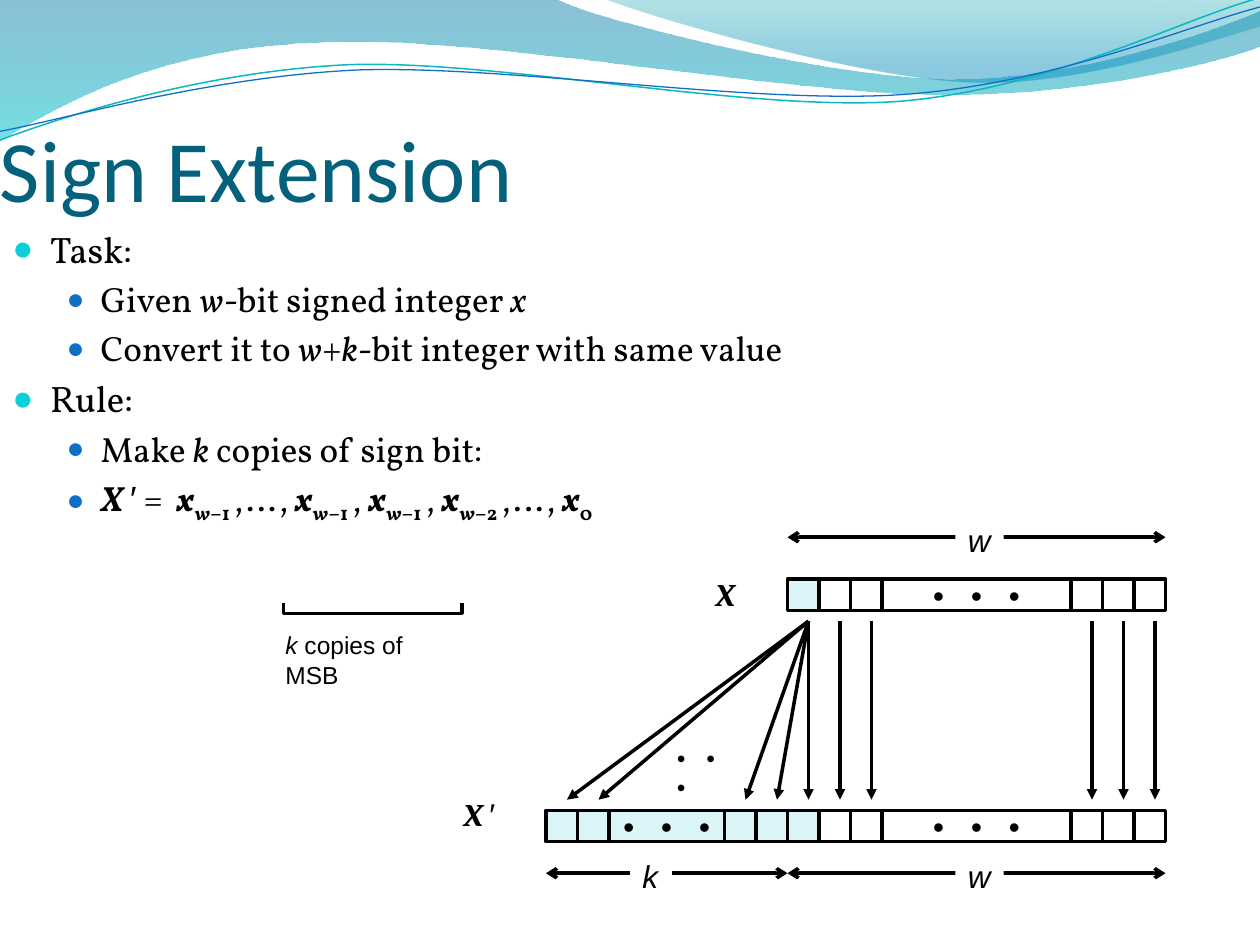
from lxml import etree
from pptx import Presentation
from pptx.dml.color import RGBColor
from pptx.enum.shapes import MSO_CONNECTOR, MSO_SHAPE
from pptx.enum.text import MSO_ANCHOR, MSO_AUTO_SIZE, PP_ALIGN
from pptx.oxml.ns import qn
from pptx.util import Pt

STRAIGHT, RECT = MSO_CONNECTOR.STRAIGHT, MSO_SHAPE.RECTANGLE
MIDDLE, BOTTOM, CENTER = MSO_ANCHOR.MIDDLE, MSO_ANCHOR.BOTTOM, PP_ALIGN.CENTER
GROW = MSO_AUTO_SIZE.SHAPE_TO_FIT_TEXT

BLACK = RGBColor(0x00, 0x00, 0x00)
WHITE = RGBColor(0xFF, 0xFF, 0xFF)
SIGN = RGBColor(0xDB, 0xF5, 0xF9)
TITLE = RGBColor(0x04, 0x61, 0x7B)
CYAN = RGBColor(0x0B, 0xD0, 0xD9)
BLUE = RGBColor(0x0F, 0x6F, 0xC6)
TEAL = RGBColor(0x0A, 0xB8, 0xBF)
WAVE_BLUE = RGBColor(0x00, 0x74, 0xA1)
WAVE_TEAL = RGBColor(0x00, 0xC6, 0xCF)
CREST_TEAL = RGBColor(0x00, 0xA1, 0xA9)
CREST_BLUE = RGBColor(0x00, 0x8B, 0xBF)

# Outlines in points: a pair is a straight step, a six-tuple is a Bézier curve.
WAVE = [(0, 0), (317, -1), (343, 12, 478, 45, 546, 45), (614, 45, 690, 19, 720, 6),
        (721, 26), (708, 32, 626, 55, 537, 54), (448, 54, 275, 20, 185, 24),
        (93, 26, 33, 60, -1, 81)]
CREST = [(345, -1), (366, 8, 491, 45, 554, 47), (616, 50, 692, 23, 720, 15), (720, 0)]
TEAL_CURVE = [(0, 80), (35, 67, 114, 41, 199, 37), (284, 34, 427, 64, 513, 58),
              (600, 51, 675, 11, 719, -1)]
BLUE_CURVE = [(0, 75), (34, 69, 118, 44, 204, 40), (290, 37, 430, 60, 516, 54),
              (602, 48, 678, 15, 720, 4)]
BRACKET = [(162, 344.5), (162, 350.5), (264, 350.5), (264, 344.5)]

CELL = 18
X_TOP, XP_TOP = 331, 463
EXT_LEFT, WORD_LEFT, WORD_RIGHT = 312, 450, 666
ELLIPSIS = "• • •"

STYLES = {
    "": {},
    "i": {"italic": True},
    "bi": {"bold": True, "italic": True},
    "prime": {"name": "Arial"},
    "sub": {"bold": True},
    "subi": {"bold": True, "italic": True},
}
X_W1 = [("x", "bi"), ("w", "subi"), ("–1 ", "sub")]
X_W2 = [("x", "bi"), ("w", "subi"), ("–2 ", "sub")]
OUTLINE = [
    (0, [("Task:", "")]),
    (1, [("Given ", ""), ("w", "i"), ("-bit signed integer ", ""), ("x", "i")]),
    (1, [("Convert it to ", ""), ("w", "i"), ("+", ""), ("k", "i"),
         ("-bit integer with same value", "")]),
    (0, [("Rule:", "")]),
    (1, [("Make ", ""), ("k", "i"), (" copies of sign bit:", "")]),
    (1, [("X ", "bi"), ("′", "prime"), (" =  ", ""), *X_W1, (",…, ", ""), *X_W1,
         (", ", ""), *X_W1, (", ", ""), *X_W2, (",…, ", ""), ("x", "bi"), ("0", "sub")]),
]
# Per level: margin, hang, bullet colour, bullet size in percent, font size
LEVELS = [(21.6, 21.6, CYAN, 95, 21), (50.4, 19.4, BLUE, 85, 20)]


def add_runs(p, runs, size, font, color=BLACK):
    for text, style in runs:
        r = p.add_run()
        r.text = text
        values = {"name": font, "size": Pt(size), "bold": False, "italic": False}
        for key, value in (values | STYLES[style]).items():
            setattr(r.font, key, value)
        r.font.color.rgb = color
        if style.startswith("sub"):
            r.font._element.set("baseline", "-25000")


def add_text(slide, box, runs, size, font, color=BLACK, wrap=False, fill=None):
    sp = slide.shapes.add_textbox(*map(Pt, box))
    tf = sp.text_frame
    tf.word_wrap = wrap
    if not wrap:
        tf.auto_size = GROW
    if fill is not None:
        sp.fill.solid()
        sp.fill.fore_color.rgb = fill
    add_runs(tf.paragraphs[0], runs, size, font, color)
    return sp


def add_outline(slide, steps, close=False):
    """Build the outline through its end points, then bend the curved steps."""
    start, *rest = [(Pt(step[-2]), Pt(step[-1])) for step in steps]
    builder = slide.shapes.build_freeform(*start)
    builder.add_line_segments(rest, close=close)
    sp = builder.convert_to_shape()
    sp.shadow.inherit = False
    segments = list(sp.element.spPr.iter(qn("a:lnTo")))
    for segment, step in zip(segments, steps[1:]):
        if len(step) == 6:
            curve = etree.Element(qn("a:cubicBezTo"))
            for x, y in zip(step[::2], step[1::2]):
                etree.SubElement(curve, qn("a:pt"), x=str(Pt(x) - sp.left),
                                 y=str(Pt(y) - sp.top))
            segment.getparent().replace(segment, curve)
    return sp


def add_curve(slide, steps, color, width):
    sp = add_outline(slide, steps)
    sp.fill.background()
    sp.line.color.rgb = color
    sp.line.width = Pt(width)


def add_wave(slide, steps, stops):
    """Fill an outline from top to bottom; a stop is position, colour, opacity in percent."""
    sp = add_outline(slide, steps, close=True)
    sp.line.fill.background()
    sp.fill.gradient()
    sp.fill.gradient_angle = 270
    for stop, (position, color, _) in zip(sp.fill.gradient_stops, stops):
        stop.position = position
        stop.color.rgb = color
    for clr, (_, _, opacity) in zip(sp.element.spPr.iter(qn("a:srgbClr")), stops):
        etree.SubElement(clr, qn("a:alpha"), val=str(opacity * 1000))


def add_arrow(slide, start, end, **ends):
    cn = slide.shapes.add_connector(STRAIGHT, *map(Pt, (*start, *end)))
    cn.line.color.rgb = BLACK
    cn.line.width = Pt(2)
    ln = cn.element.spPr.find(qn("a:ln"))
    for tag, kind in ends.items():
        etree.SubElement(ln, qn(f"a:{tag}"), type=kind)
    etree.SubElement(cn.element.spPr, qn("a:effectLst"))


def add_cell(slide, left, top, fill, width=CELL, text=None):
    sp = slide.shapes.add_shape(RECT, *map(Pt, (left, top, width, CELL)))
    sp.shadow.inherit = False
    sp.fill.solid()
    sp.fill.fore_color.rgb = fill
    sp.line.color.rgb = BLACK
    sp.line.width = Pt(2)
    if text:
        tf = sp.text_frame
        tf.word_wrap, tf.vertical_anchor = False, MIDDLE
        tf.paragraphs[0].alignment = CENTER
        add_runs(tf.paragraphs[0], [(text, "")], 18, "Courier New")


def add_bits(slide, left, right, top, lead, trail, fills):
    """Draw lead cells, a wide ellipsis cell and trail cells; return the single cells' lefts."""
    first, rest = fills
    gap_left, gap_right = left + lead * CELL, right - trail * CELL
    lefts = [left + n * CELL for n in range(lead)]
    lefts += [gap_right + n * CELL for n in range(trail)]
    for n, x in enumerate(lefts):
        add_cell(slide, x, top, rest if n else first)
    add_cell(slide, gap_left, top, rest, gap_right - gap_left, ELLIPSIS)
    return lefts


def add_span(slide, left, right, y, name, label_left, label_width):
    add_arrow(slide, (left, y), (right, y), headEnd="arrow", tailEnd="arrow")
    add_text(slide, (label_left, y - 13, label_width, 29), [(name, "i")], 18, "Arial",
             fill=WHITE)


def add_bullets(slide):
    tf = slide.shapes.add_textbox(*map(Pt, (0, 126, 648, 347))).text_frame
    tf.word_wrap = True
    for n, (level, runs) in enumerate(OUTLINE):
        p = tf.add_paragraph() if n else tf.paragraphs[0]
        margin, hang, color, percent, size = LEVELS[level]
        p.level = level
        pPr = p._p.get_or_add_pPr()
        pPr.set("marL", str(Pt(margin)))
        pPr.set("indent", str(-Pt(hang)))
        clr = etree.SubElement(pPr, qn("a:buClr"))
        etree.SubElement(clr, qn("a:srgbClr"), val=str(color))
        etree.SubElement(pPr, qn("a:buSzPct"), val=str(percent * 1000))
        etree.SubElement(pPr, qn("a:buFont"), typeface="Arial")
        etree.SubElement(pPr, qn("a:buChar"), char="●")
        if n:
            p.space_before = Pt(0.2 * size)
        add_runs(p, runs, size, "Vollkorn")


def add_diagram(slide):
    word = (WORD_LEFT, WORD_RIGHT)
    bits = add_bits(slide, *word, X_TOP, 3, 3, (SIGN, WHITE))
    copies = add_bits(slide, EXT_LEFT, WORD_LEFT, XP_TOP, 2, 2, (SIGN, SIGN))
    add_bits(slide, *word, XP_TOP, 3, 3, (SIGN, WHITE))
    for source, target in [(WORD_LEFT, x) for x in copies] + [(x, x) for x in bits]:
        add_arrow(slide, (source + 12, X_TOP + CELL + 6), (target + 12, XP_TOP - 6),
                  tailEnd="triangle")
    add_text(slide, (402, 325, 31, 29), [("X", "bi")], 18, "Cambria")
    add_text(slide, (258, 451, 35, 29), [("X ", "bi"), ("′", "prime")], 18, "Cambria")
    add_text(slide, (378, 421, 56, 24), [(ELLIPSIS, "")], 14, "Courier New")
    add_span(slide, *word, 307, "w", 546, 27.5)
    add_span(slide, *word, 499, "w", 546, 27.5)
    add_span(slide, EXT_LEFT, WORD_LEFT, 499, "k", 360, 24)


def main():
    prs = Presentation()
    prs.slide_width, prs.slide_height = Pt(720), Pt(540)
    slide = prs.slides.add_slide(prs.slide_layouts[6])
    add_wave(slide, WAVE, [(0, WAVE_BLUE, 45), (1, WAVE_TEAL, 55)])
    add_wave(slide, CREST, [(0, CREST_TEAL, 30), (0.8, CREST_BLUE, 45)])
    add_curve(slide, TEAL_CURVE, TEAL, 0.85)
    add_curve(slide, BLUE_CURVE, BLUE, 0.75)
    tf = add_text(slide, (0, 36, 648, 90), [("Sign Extension", "")], 50, "Calibri",
                  TITLE, wrap=True).text_frame
    tf.margin_left = tf.margin_right = tf.margin_bottom = 0
    tf.vertical_anchor = BOTTOM
    add_bullets(slide)
    add_text(slide, (156, 356.5, 115, 24), [("k", "i"), (" copies of MSB", "")], 14, "Arial",
             wrap=True)
    add_diagram(slide)
    add_curve(slide, BRACKET, BLACK, 2)
    prs.save("out.pptx")


if __name__ == "__main__":
    main()
